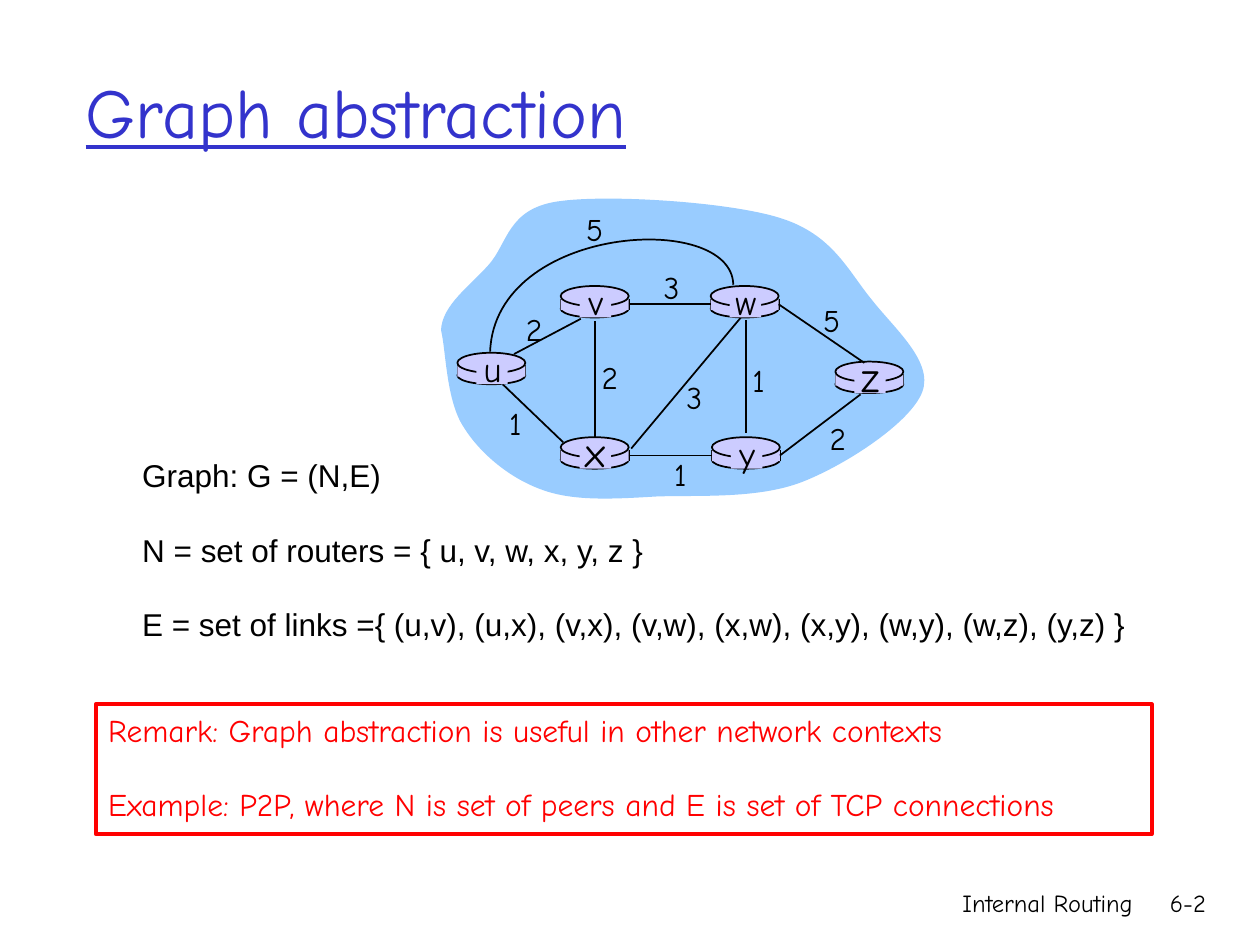
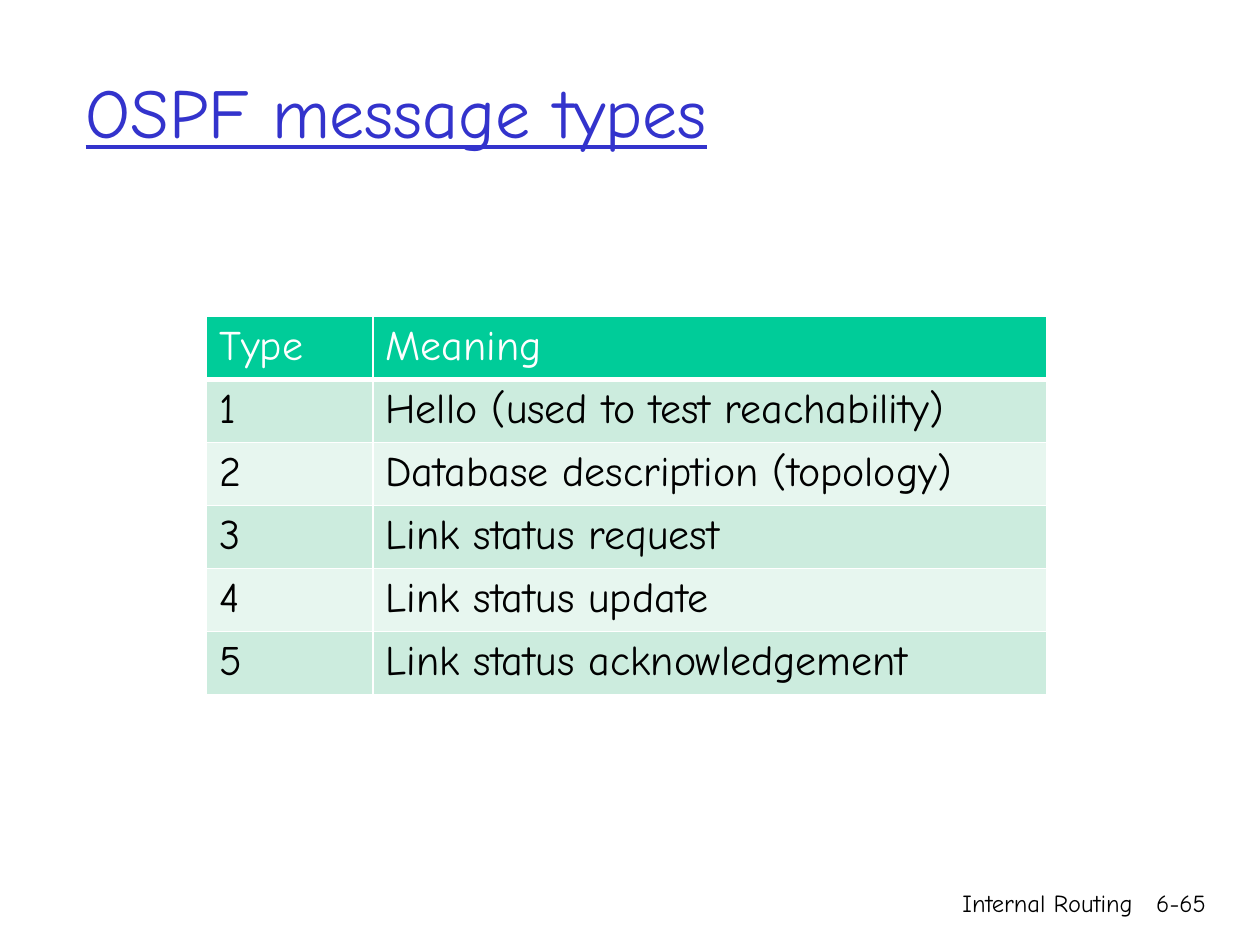
import pptx
import pptx.dml.color
import pptx.enum.shapes
import pptx.enum.text
import pptx.oxml
import pptx.oxml.ns
import pptx.util
from pptx.util import Inches

COMIC, ARIAL = "Comic Neue", "Arial"
BLACK, WHITE, RED, TITLE_BLUE = "000000", "FFFFFF", "FF0000", "3333CC"
CLOUD_BLUE, ROUTER_LILAC = "99CCFF", "CCCCFF"
HEADER_GREEN, BANDS = "00CC99", ("CCECDE", "E7F6EF")
ALIGN = pptx.enum.text.PP_ALIGN
SHAPE = pptx.enum.shapes.MSO_SHAPE
TITLE_BOX = (0.58, 0.25, 8.5, 1.25)

FOOTER = "Internal Routing"
GRAPH_TITLE, GRAPH_NUMBER = "Graph abstraction", "6-2"
MESSAGES_TITLE, MESSAGES_NUMBER = "OSPF message types", "6-65"

DEFINITIONS = [
    "Graph: G = (N,E)",
    "N = set of routers = { u, v, w, x, y, z }",
    "E = set of links ={ (u,v), (u,x), (v,x), (v,w), (x,w), (x,y), (w,y), (w,z), (y,z) }",
]
REMARKS = [
    "Remark: Graph abstraction is useful in other network contexts",
    "Example: P2P, where N is set of peers and E is set of TCP connections",
]
MESSAGE_TYPES = [
    ("Type", "Meaning"),
    ("1", "Hello (used to test reachability)"),
    ("2", "Database description (topology)"),
    ("3", "Link status request"),
    ("4", "Link status update"),
    ("5", "Link status acknowledgement"),
]

ROUTERS = {
    "u": (3.63, 2.80, 20),
    "x": (4.45, 3.47, 24),
    "v": (4.45, 2.27, 20),
    "w": (5.64, 2.27, 20),
    "y": (5.65, 3.47, 20),
    "z": (6.63, 2.87, 24),
}
LABEL_RISE_AND_HEIGHT = {20: (0.09, 0.43), 24: (0.14, 0.5)}
LEFT_SIDE, RIGHT_SIDE = 1, 3
LINKS = [
    ((4.08, 2.81), (4.61, 2.53)),
    ((5.92, 2.54), (5.92, 3.44)),
    ((4.72, 2.55), (4.72, 3.48)),
    ((5.01, 3.56), (5.88, 2.52)),
    (("y", RIGHT_SIDE), (6.83, 3.13)),
    (("x", RIGHT_SIDE), ("y", LEFT_SIDE)),
    ((4.47, 3.51), (3.99, 3.05)),
    (("v", RIGHT_SIDE), ("w", LEFT_SIDE)),
    (("w", RIGHT_SIDE), (6.86, 2.88)),
]
COSTS = [
    ("2", 4.24, 2.61), ("2", 4.84, 2.99), ("1", 4.09, 3.36), ("3", 5.51, 3.15),
    ("1", 5.4, 3.76), ("1", 6.02, 3.02), ("2", 6.65, 3.48), ("5", 6.6, 2.54),
    ("3", 5.33, 2.28), ("5", 4.72, 1.82),
]
CLOUD = [
    (3.5, 2.62),
    (3.51, 2.42), (3.73, 2.27), (3.88, 2.1),
    (4.03, 1.93), (4.03, 1.66), (4.42, 1.6),
    (4.8, 1.54), (5.78, 1.6), (6.19, 1.73),
    (6.61, 1.86), (6.73, 2.15), (6.92, 2.38),
    (7.1, 2.61), (7.41, 2.87), (7.32, 3.11),
    (7.23, 3.35), (6.73, 3.68), (6.38, 3.82),
    (6.03, 3.96), (5.57, 3.93), (5.22, 3.94),
    (4.88, 3.96), (4.56, 3.98), (4.31, 3.89),
    (4.05, 3.8), (3.81, 3.6), (3.68, 3.39),
    (3.54, 3.18), (3.54, 2.78), (3.5, 2.62),
]
OUTER_LINK = [(5.82, 2.26), (5.81, 1.67), (3.93, 1.78), (3.89, 2.79)]


def rgb(code):
    return pptx.dml.color.RGBColor.from_string(code)


def style(shape, fill=None, line=None, width=1):
    shape.shadow.inherit = False
    if fill:
        shape.fill.solid()
        shape.fill.fore_color.rgb = rgb(fill)
    else:
        shape.fill.background()
    if line:
        shape.line.color.rgb = rgb(line)
        shape.line.width = pptx.util.Pt(width)
    else:
        shape.line.fill.background()


def write(frame, lines, size, color=BLACK, font=COMIC, align=ALIGN.LEFT, gap=0, underline=False):
    for index, line in enumerate(lines):
        paragraph = frame.add_paragraph() if index else frame.paragraphs[0]
        paragraph.alignment = align
        if index:
            paragraph.space_before = pptx.util.Pt(gap)
        run = paragraph.add_run()
        run.text = line
        run.font.name = font
        run.font.size = pptx.util.Pt(size)
        run.font.color.rgb = rgb(color)
        run.font.bold = False
        run.font.underline = underline


def add_text(parent, box, lines, size, wrap=False, **look):
    frame = parent.shapes.add_textbox(*map(Inches, box)).text_frame
    frame.word_wrap = wrap
    write(frame, lines, size, **look)


def add_block(parent, kind, box, fill=None, line=None, width=1):
    block = parent.shapes.add_shape(kind, *map(Inches, box))
    style(block, fill, line, width)
    return block


def add_line(parent, start, end):
    line = parent.shapes.add_connector(
        pptx.enum.shapes.MSO_CONNECTOR.STRAIGHT, *map(Inches, (*start, *end)))
    line.line.color.rgb = rgb(BLACK)
    line.line.width = pptx.util.Pt(1)
    line.element.spPr.append(pptx.oxml.parse_xml(
        f'<a:effectLst {pptx.oxml.ns.nsdecls("a")}/>'))
    return line


def add_curve(parent, controls, closed, fill=None, line=None):
    points = [(Inches(x), Inches(y)) for x, y in controls]
    builder = parent.shapes.build_freeform(*points[0])
    builder.add_line_segments(points[1:], close=closed)
    curve = builder.convert_to_shape()
    segments = list(curve.element.iter(pptx.oxml.ns.qn("a:lnTo")))
    for first in range(0, len(segments), 3):
        bezier = pptx.oxml.parse_xml(f'<a:cubicBezTo {pptx.oxml.ns.nsdecls("a")}/>')
        segments[first].addprevious(bezier)
        for segment in segments[first:first + 3]:
            bezier.append(segment[0])
            segment.getparent().remove(segment)
    style(curve, fill, line)


def start_slide(deck, title, number):
    slide = deck.slides.add_slide(deck.slide_layouts[5])
    heading = slide.shapes.title
    heading.left, heading.top, heading.width, heading.height = map(Inches, TITLE_BOX)
    frame = heading.text_frame
    frame.auto_size = pptx.enum.text.MSO_AUTO_SIZE.NONE
    frame.vertical_anchor = pptx.enum.text.MSO_ANCHOR.MIDDLE
    write(frame, [title], 40, color=TITLE_BLUE, underline=True)
    for text, left, width in ((FOOTER, 5.92, 3.17), (number, 8.93, 0.74)):
        add_text(slide, (left, 7, width, 0.5), [text], 14, wrap=True, align=ALIGN.RIGHT)
    return slide


def add_router(network, left, top):
    add_block(network, SHAPE.OVAL, (left, top + 0.11, 0.54, 0.14), ROUTER_LILAC, BLACK)
    for x in (left, left + 0.54):
        add_line(network, (x, top + 0.1), (x, top + 0.19))
    middle = add_block(network, SHAPE.RECTANGLE, (left, top + 0.1, 0.54, 0.09), ROUTER_LILAC)
    add_block(network, SHAPE.OVAL, (left, top, 0.54, 0.16), ROUTER_LILAC, BLACK)
    return middle


def add_link(network, ends, middles):
    points = [(5, 3) if end[0] in middles else end for end in ends]
    link = add_line(network, *points)
    for end, connect in zip(ends, (link.begin_connect, link.end_connect)):
        if end[0] in middles:
            connect(middles[end[0]], end[1])


def add_network(slide):
    network = slide.shapes.add_group_shape()
    add_curve(network, CLOUD, True, fill=CLOUD_BLUE)
    middles = {name: add_router(network, left, top) for name, (left, top, _) in ROUTERS.items()}
    for ends in LINKS:
        add_link(network, ends, middles)
    add_curve(network, OUTER_LINK, False, line=BLACK)
    for name, (left, top, size) in ROUTERS.items():
        add_block(network, SHAPE.RECTANGLE, (left + 0.15, top + 0.02, 0.25, 0.23), ROUTER_LILAC)
        rise, height = LABEL_RISE_AND_HEIGHT[size]
        add_text(network, (left + 0.08, top - rise, 0.4, height),
                 [name], size, align=ALIGN.CENTER)
    for cost, x, y in COSTS:
        add_text(network, (x - 0.18, y - 0.2, 0.36, 0.4), [cost], 18, align=ALIGN.CENTER)


def build_graph(deck):
    slide = start_slide(deck, GRAPH_TITLE, GRAPH_NUMBER)
    add_network(slide)
    add_text(slide, (1.03, 3.57, 8.09, 1.6), DEFINITIONS, 18, font=ARIAL, gap=21)
    remark = add_block(slide, SHAPE.RECTANGLE, (0.76, 5.59, 8.38, 1.03), line=RED, width=2.25)
    remark.text_frame.word_wrap = False
    remark.text_frame.vertical_anchor = pptx.enum.text.MSO_ANCHOR.TOP
    write(remark.text_frame, REMARKS, 18, color=RED, gap=21)


def border(cell, top, bottom):
    properties = cell._tc.get_or_add_tcPr()
    for side, points in (("L", 1), ("R", 1), ("T", top), ("B", bottom)):
        properties.append(pptx.oxml.parse_xml(
            f'<a:ln{side} {pptx.oxml.ns.nsdecls("a")} w="{pptx.util.Pt(points)}">'
            f'<a:solidFill><a:srgbClr val="{WHITE}"/></a:solidFill></a:ln{side}>'))


def build_messages(deck):
    slide = start_slide(deck, MESSAGES_TITLE, MESSAGES_NUMBER)
    widths, row_height = (1.32, 5.35), 0.41
    box = (1.64, 2.51, sum(widths), row_height * len(MESSAGE_TYPES))
    table = slide.shapes.add_table(len(MESSAGE_TYPES), len(widths), *map(Inches, box)).table
    for column, width in zip(table.columns, widths):
        column.width = Inches(width)
    for row, entries in enumerate(MESSAGE_TYPES):
        table.rows[row].height = Inches(row_height)
        for column, entry in enumerate(entries):
            cell = table.cell(row, column)
            border(cell, 3 if row == 1 else 1, 3 if row == 0 else 1)
            cell.fill.solid()
            cell.fill.fore_color.rgb = rgb(BANDS[(row - 1) % 2] if row else HEADER_GREEN)
            write(cell.text_frame, [entry], 24, color=BLACK if row else WHITE)


def main():
    deck = pptx.Presentation()
    deck.slide_width, deck.slide_height = Inches(10), Inches(7.5)
    build_graph(deck)
    build_messages(deck)
    deck.save("out.pptx")


if __name__ == "__main__":
    main()
